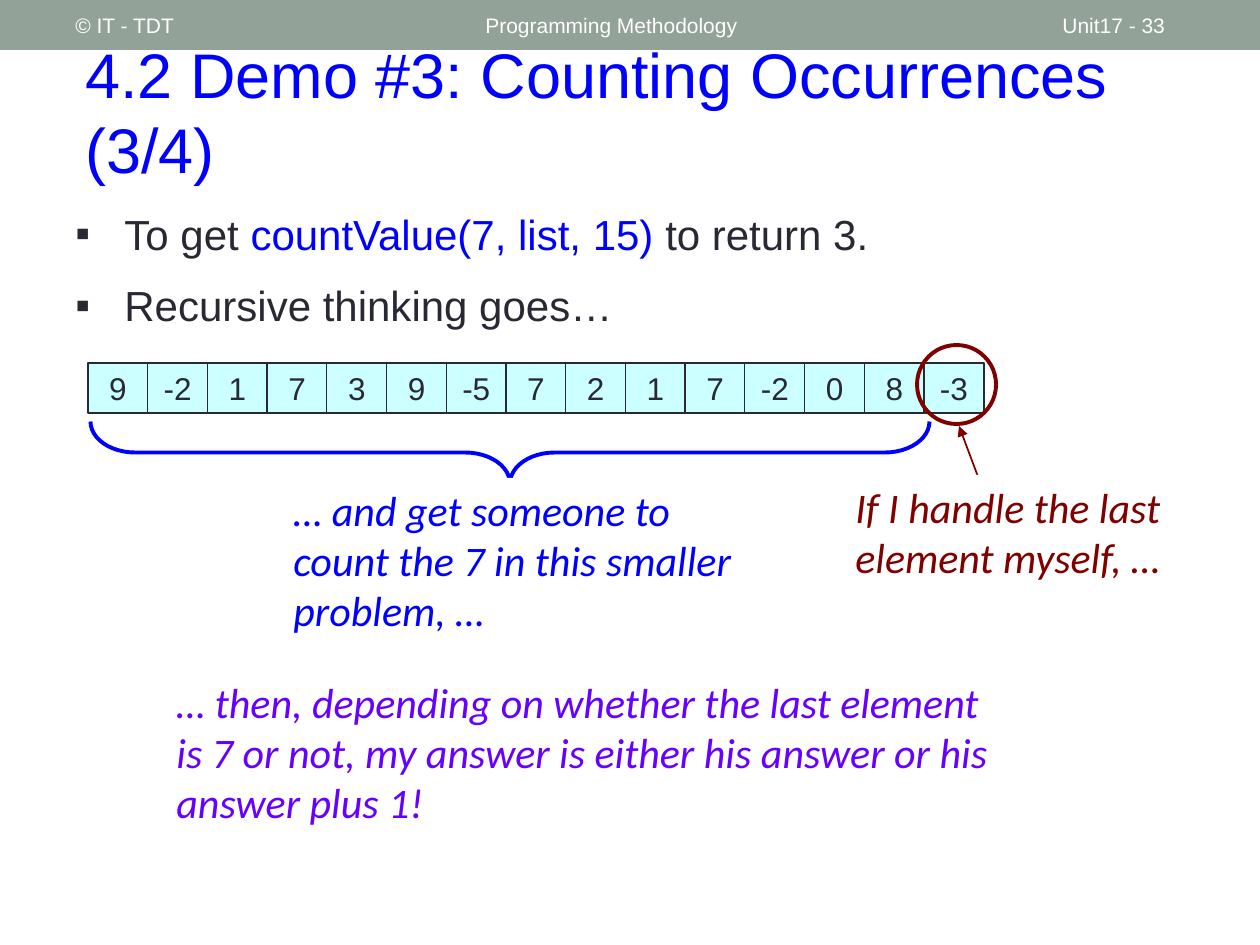
from dataclasses import dataclass

from lxml import etree
from pptx import Presentation
from pptx.dml.color import RGBColor
from pptx.enum.shapes import MSO_CONNECTOR, MSO_SHAPE as SHAPE
from pptx.enum.text import MSO_ANCHOR as ANCHOR, MSO_AUTO_SIZE as FIT, PP_ALIGN as ALIGN
from pptx.oxml.ns import qn
from pptx.util import Emu, Pt


@dataclass(frozen=True)
class Theme:
    band: str = "93A299"
    white: str = "FFFFFF"
    ink: str = "292934"
    blue: str = "0000FF"
    maroon: str = "800000"
    violet: str = "6600FF"
    cell: str = "CCFFFF"
    sans: str = "Arial"
    hand: str = "Calibri"
    title: int = 36
    body: int = 24
    value: int = 18
    header: int = 12


THEME = Theme()
PX = 914400 / 126
SLIDE_SIZE = (1260, 945)

# Content: boxes are left, top, width, height in px
TITLE = ("4.2 Demo #3: Counting Occurrences (3/4)", (73, 53, 1156, 116))
HEADER = [
    ("Programming Methodology", (473, 3, 567, 45)),
    ("Unit17 - 33", (1050, 3, 147, 45)),
    ("© IT - TDT", (63, 3, 399, 45)),
]
BULLETS = [
    [("To get ", THEME.ink), ("countValue(7, list, 15)", THEME.blue),
     (" to return 3.", THEME.ink)],
    [("Recursive thinking goes…", THEME.ink)],
]
BULLETS_BOX = (63, 202, 989, 136)
VALUES = [9, -2, 1, 7, 3, 9, -5, 7, 2, 1, 7, -2, 0, 8, -3]
ARRAY_LEFT, ARRAY_RIGHT, ARRAY_TOP = 88, 984, 363
CELL_WIDTH, CELL_HEIGHT = 60, 50
LAST_ELEMENT = ("If I handle the last element myself, …", (843, 475, 352, 115), THEME.maroon)
SMALLER_PROBLEM = ("… and get someone to count the 7 in this smaller problem, …",
                   (281, 478, 494, 165), THEME.blue)
CONCLUSION = ("… then, depending on whether the last element is 7 or not, "
              "my answer is either his answer or his answer plus 1!",
              (164, 670, 837, 165), THEME.violet)
CIRCLE_BOX = (917, 345, 79, 79)
BRACE_BOX = (479, 33, 62, 839)
ARROW_ENDS = (983, 490, 959, 426)


def px(*lengths):
    return [Emu(round(length * PX)) for length in lengths]


def rgb(color):
    return RGBColor.from_string(color)


def apply(target, **values):
    for name, value in values.items():
        setattr(target, name, value)


def add_line(part, color, width):
    part.line.color.rgb = rgb(color)
    part.line.width = Pt(width)


def add_figure(kind, box, fill=None, line=None):
    figure = slide.shapes.add_shape(kind, *px(*box))
    figure.shadow.inherit = False
    if fill:
        figure.fill.solid()
        figure.fill.fore_color.rgb = rgb(fill)
    else:
        figure.fill.background()
    if line:
        add_line(figure, *line)
    else:
        figure.line.fill.background()
    return figure


def add_run(paragraph, words, color, **font):
    run = paragraph.add_run()
    run.text = words
    apply(run.font, **font)
    run.font.color.rgb = rgb(color)


def write(holder, words, color, size, align=ALIGN.LEFT, anchor=ANCHOR.TOP,
          fit=FIT.SHAPE_TO_FIT_TEXT, name=THEME.sans, italic=None):
    frame = holder.text_frame
    apply(frame, word_wrap=True, vertical_anchor=anchor, auto_size=fit)
    frame.paragraphs[0].alignment = align
    add_run(frame.paragraphs[0], words, color, size=Pt(size), name=name, italic=italic)


def add_label(words, box, color, size):
    write(slide.shapes.add_textbox(*px(*box)), words, color, size,
          anchor=ANCHOR.MIDDLE, fit=FIT.NONE)


def add_remark(words, box, color):
    write(add_figure(SHAPE.RECTANGLE, box, THEME.white), words, color, THEME.body,
          name=THEME.hand, italic=True)


def add_bullet(paragraph):
    indent = px(49)[0]
    props = paragraph._p.get_or_add_pPr()
    props.set("marL", str(indent))
    props.set("indent", str(-indent))
    bullet_color = etree.SubElement(props, qn("a:buClr"))
    etree.SubElement(bullet_color, qn("a:srgbClr"), val=THEME.ink)
    etree.SubElement(props, qn("a:buFont"), typeface=THEME.sans)
    etree.SubElement(props, qn("a:buChar"), char="▪")


deck = Presentation()
deck.slide_width, deck.slide_height = px(*SLIDE_SIZE)
slide = deck.slides.add_slide(deck.slide_layouts[6])

# Header band and title
add_figure(SHAPE.RECTANGLE, (0, 0, SLIDE_SIZE[0], 50), THEME.band)
add_label(*TITLE, THEME.blue, THEME.title)
for words, box in HEADER:
    add_label(words, box, THEME.white, THEME.header)

# Bullets
body = slide.shapes.add_textbox(*px(*BULLETS_BOX)).text_frame
apply(body, word_wrap=True, auto_size=FIT.SHAPE_TO_FIT_TEXT)
for index, runs in enumerate(BULLETS):
    point = body.add_paragraph() if index else body.paragraphs[0]
    add_bullet(point)
    if index:
        point.space_before = Pt(12)
    for words, color in runs:
        add_run(point, words, color, size=Pt(THEME.body), name=THEME.sans)

# Array cells, evenly pitched
pitch = (ARRAY_RIGHT - CELL_WIDTH - ARRAY_LEFT) / (len(VALUES) - 1)
for index, value in enumerate(VALUES):
    cell_box = (ARRAY_LEFT + index * pitch, ARRAY_TOP, CELL_WIDTH, CELL_HEIGHT)
    cell = add_figure(SHAPE.RECTANGLE, cell_box, THEME.cell, (THEME.ink, 0.75))
    write(cell, str(value), THEME.ink, THEME.value, ALIGN.CENTER)

# Last element: arrow, remark and circle
arrow = slide.shapes.add_connector(MSO_CONNECTOR.STRAIGHT, *px(*ARROW_ENDS))
add_line(arrow, THEME.maroon, 1)
etree.SubElement(arrow.line._get_or_add_ln(), qn("a:tailEnd"), type="triangle")
etree.SubElement(arrow._element.spPr, qn("a:effectLst"))
add_remark(*LAST_ELEMENT)
add_figure(SHAPE.OVAL, CIRCLE_BOX, line=(THEME.maroon, 2.25))

# Smaller problem: brace turned to open upwards, and remark
brace = add_figure(SHAPE.LEFT_BRACE, BRACE_BOX, line=(THEME.blue, 2.25))
brace.rotation = 270
brace.adjustments[0] = 0.72
add_remark(*SMALLER_PROBLEM)

# Conclusion
add_remark(*CONCLUSION)

deck.save("out.pptx")
